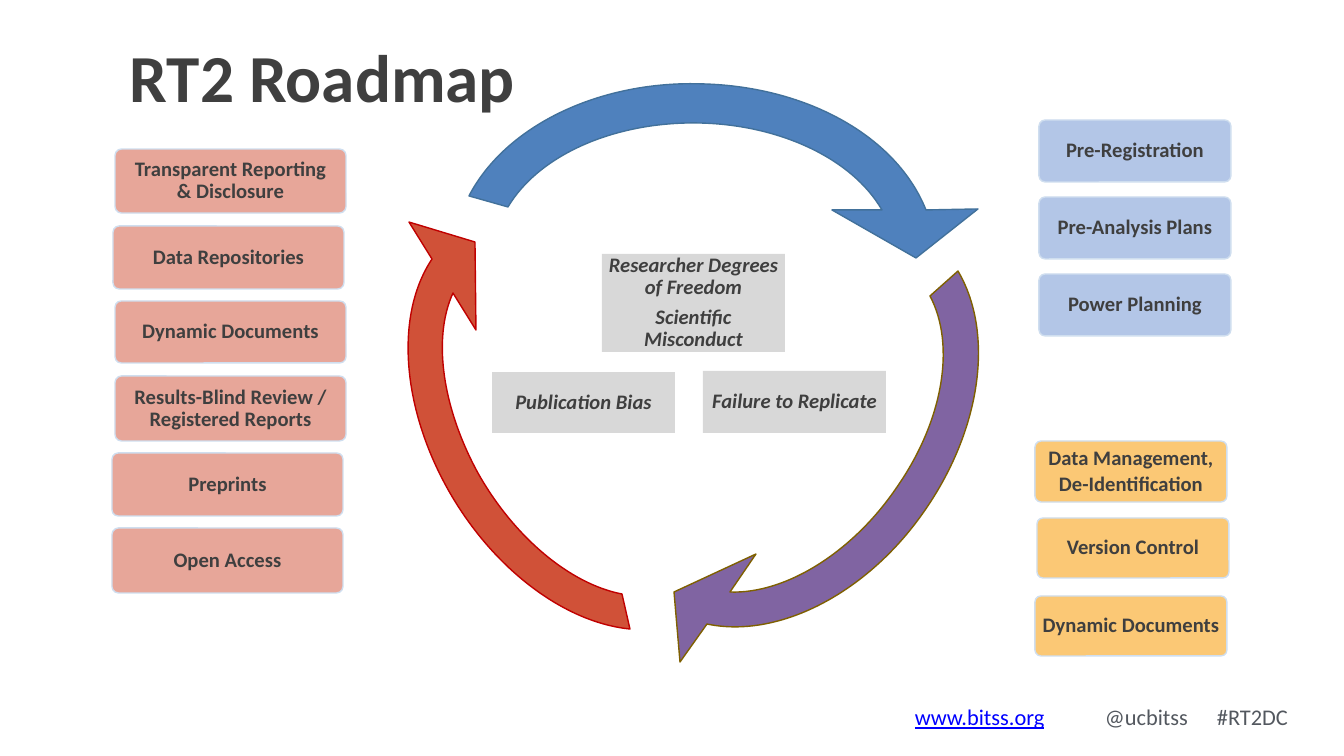
from math import cos, radians, sin
from lxml.etree import SubElement
from pptx import Presentation
from pptx.dml.color import RGBColor
from pptx.enum.shapes import MSO_SHAPE
from pptx.enum.text import MSO_ANCHOR, PP_ALIGN
from pptx.oxml.ns import qn
from pptx.util import Pt

PX = 12192000 / 1344
COLORS = {
    "text": "3F3F3F", "footer": "53585F", "link": "0000FF", "border": "CFDEEF",
    "sharing": "E7A699", "planning": "B3C6E7", "workflow": "FBC875", "problem": "D8D8D8",
    "blue": "4F81BD", "blue edge": "42719B", "purple": "8064A2",
    "purple edge": "7F6000", "red": "D05138", "red edge": "C00000",
}


def paint(shape, fill, line=None):
    shape.shadow.inherit = False
    shape.fill.solid()
    shape.fill.fore_color.rgb = RGBColor.from_string(COLORS[fill])
    if line:
        shape.line.color.rgb = RGBColor.from_string(COLORS[line])
        shape.line.width = Pt(1)
    else:
        shape.line.fill.background()


def write(shape, paragraphs, inset=3, anchor=MSO_ANCHOR.MIDDLE, gap=0, **font):
    frame = shape.text_frame
    frame.word_wrap = True
    frame.vertical_anchor = anchor
    for side in ("left", "right", "top", "bottom"):
        setattr(frame, f"margin_{side}", round(inset * PX))
    for index, text in enumerate(paragraphs):
        para = frame.add_paragraph() if index else frame.paragraphs[0]
        para.text = text
        para.alignment = PP_ALIGN.CENTER
        para.line_spacing = 0.9
        if index:
            para.space_before = Pt(gap)
        for span in para.runs:
            span.font.color.rgb = RGBColor.from_string(COLORS["text"])
            for name, value in {"name": "Calibri", "size": Pt(14.7), "bold": True, **font}.items():
                setattr(span.font, name, value)


deck = Presentation()
deck.slide_width, deck.slide_height = round(1344 * PX), round(756 * PX)
page = deck.slides.add_slide(deck.slide_layouts[6])

columns = [
    ("planning", 192, [
        (1039, 120, 62, ["Pre-Registration"]),
        (1039, 197, 62, ["Pre-Analysis Plans"]),
        (1039, 274, 62, ["Power Planning"])]),
    ("workflow", 192, [
        (1035, 441, 61, ["Data Management,", "De-Identification"]),
        (1037, 518, 60, ["Version Control"]),
        (1035, 596, 60, ["Dynamic Documents"])]),
    ("sharing", 231, [
        (115, 149, 64, ["Transparent Reporting\n& Disclosure"]),
        (113, 226, 63, ["Data Repositories"]),
        (115, 301, 62, ["Dynamic Documents"]),
        (115, 376, 65, ["Results-Blind Review / Registered Reports"]),
        (112, 453, 63, ["Preprints"]),
        (112, 528, 65, ["Open Access"])]),
]
for color, width, boxes in columns:
    for left, top, height, label in boxes:
        box = page.shapes.add_shape(
            MSO_SHAPE.ROUNDED_RECTANGLE, *(round(n * PX) for n in (left, top, width, height)))
        box.adjustments[0] = 0.1
        paint(box, color, "border")
        write(box, label, gap=2.7)

title = page.shapes.add_textbox(*(round(n * PX) for n in (93, 21, 459, 101)))
write(title, ["RT2 Roadmap"], inset=5, anchor=MSO_ANCHOR.BOTTOM, size=Pt(48))

problems = [
    (492, 372, 61, ["Publication Bias"]),
    (703, 371, 62, ["Failure to Replicate"]),
    (602, 254, 98, ["Researcher Degrees of Freedom", "Scientific Misconduct"]),
]
for left, top, height, label in problems:
    box = page.shapes.add_shape(
        MSO_SHAPE.RECTANGLE, *(round(n * PX) for n in (left, top, 183, height)))
    paint(box, "problem")
    write(box, label, gap=5.3, italic=True)

arrows = [
    ("blue", (399, 30, 590, 459), 0, [
        (469, 196), (506, 125, 601, 80, 704, 84), (808, 87, 897, 137, 926, 210),
        (978, 209), (916, 258), (832, 210), (882, 210),
        (852, 158, 778, 124, 697, 123), (614, 122, 539, 155, 508, 207)]),
    ("purple", (520, 215, 548, 412), 125.4, [
        (958, 271), (995, 334, 981, 431, 923, 513), (866, 594, 778, 639, 707, 624),
        (680, 662), (674, 592), (756, 554), (730, 592),
        (786, 594, 853, 552, 897, 487), (943, 421, 956, 345, 930, 296)]),
    ("red", (311, 222, 545, 397), 238.9, [
        (630, 629), (561, 622, 488, 564, 445, 484), (401, 402, 396, 313, 432, 259),
        (409, 222), (475, 242), (476, 330), (453, 293),
        (432, 339, 443, 409, 478, 473), (514, 537, 570, 584, 622, 594)]),
]
for color, (left, top, width, height), angle, segments in arrows:
    builder = page.shapes.build_freeform()
    builder.add_line_segments([(round(width * PX), round(height * PX))])
    arrow = builder.convert_to_shape()
    arrow.left, arrow.top = round(left * PX), round(top * PX)
    arrow.width, arrow.height = round(width * PX), round(height * PX)
    arrow.rotation = angle
    outline = arrow._element.find(".//" + qn("a:path"))
    for child in list(outline):
        outline.remove(child)
    outline.set("w", str(arrow.width))
    outline.set("h", str(arrow.height))
    turn = radians(angle)
    for index, segment in enumerate(segments):
        kind = "a:cubicBezTo" if len(segment) == 6 else "a:lnTo" if index else "a:moveTo"
        command = SubElement(outline, qn(kind))
        for x, y in zip(segment[::2], segment[1::2]):
            dx, dy = x - left - width / 2, y - top - height / 2
            local_x = width / 2 + dx * cos(turn) + dy * sin(turn)
            local_y = height / 2 - dx * sin(turn) + dy * cos(turn)
            SubElement(command, qn("a:pt"), x=str(round(local_x * PX)), y=str(round(local_y * PX)))
    SubElement(outline, qn("a:close"))
    paint(arrow, color, f"{color} edge")

footer = page.shapes.add_textbox(*(round(n * PX) for n in (829, 699, 464, 35)))
write(footer, ["www.bitss.org"], inset=4, size=Pt(16), bold=False, underline=True)
footer.text_frame.margin_left = round(86 * PX)
para = footer.text_frame.paragraphs[0]
para.alignment = PP_ALIGN.LEFT
para.line_spacing = 1.0
tabs = SubElement(para._p.get_or_add_pPr(), qn("a:tabLst"))
for stop in (190, 302):
    SubElement(tabs, qn("a:tab"), pos=str(round(stop * PX)), algn="l")
para.runs[0].font.color.rgb = RGBColor.from_string(COLORS["link"])
handles = para.add_run()
handles.text = "\t@ucbitss\t#RT2DC"
for name, value in {"name": "Calibri", "size": Pt(16)}.items():
    setattr(handles.font, name, value)
handles.font.color.rgb = RGBColor.from_string(COLORS["footer"])

deck.save("out.pptx")
